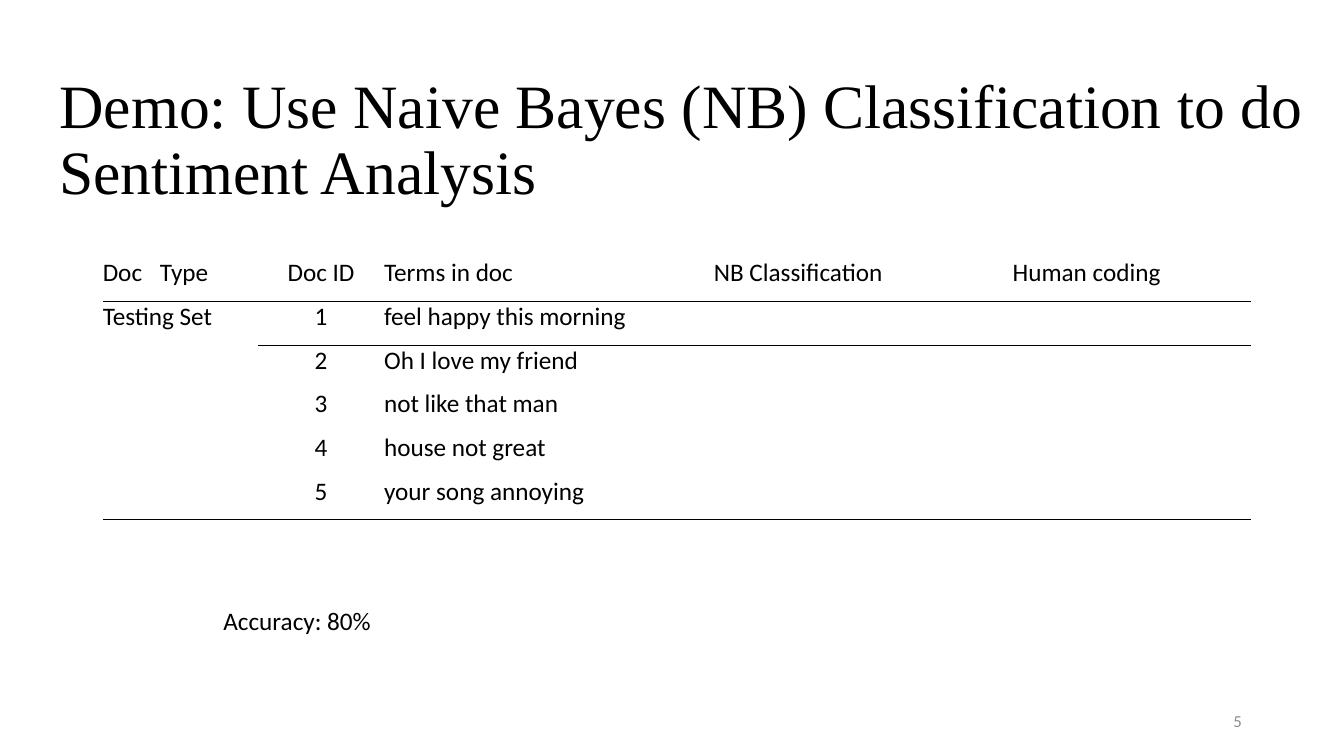
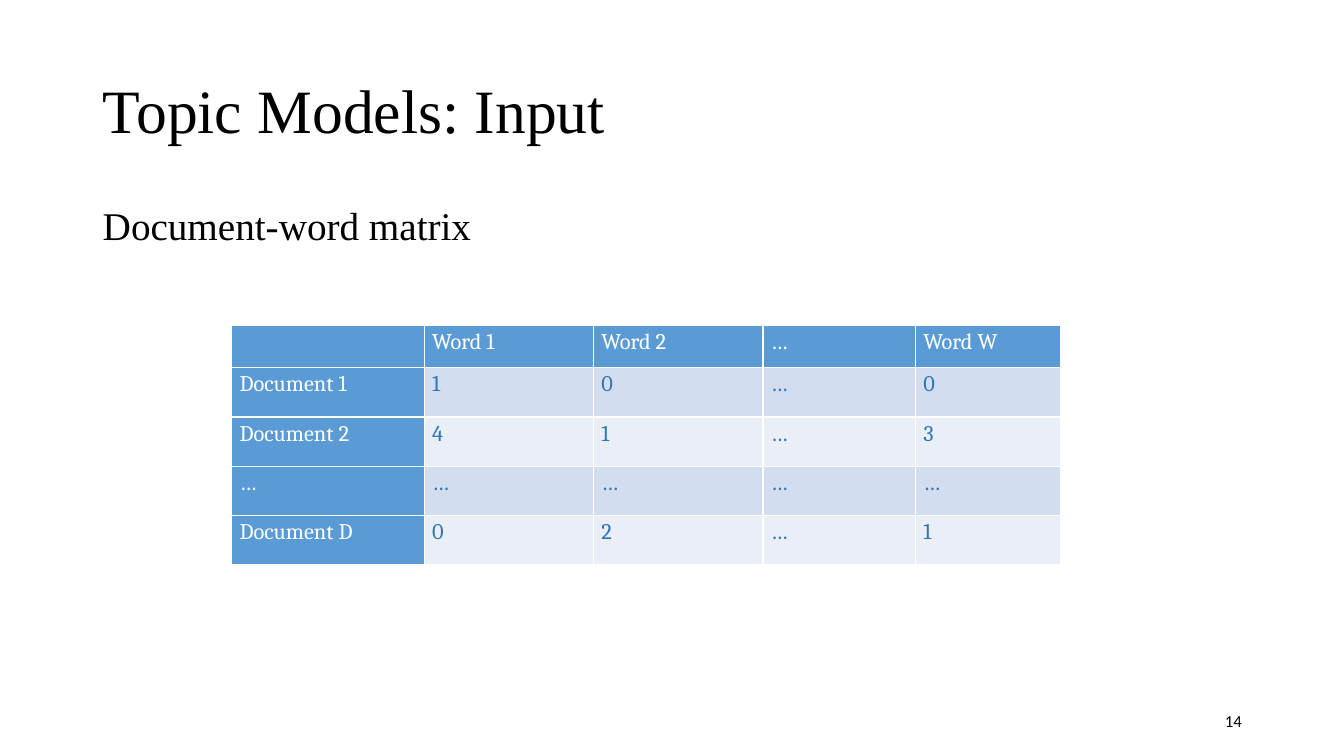
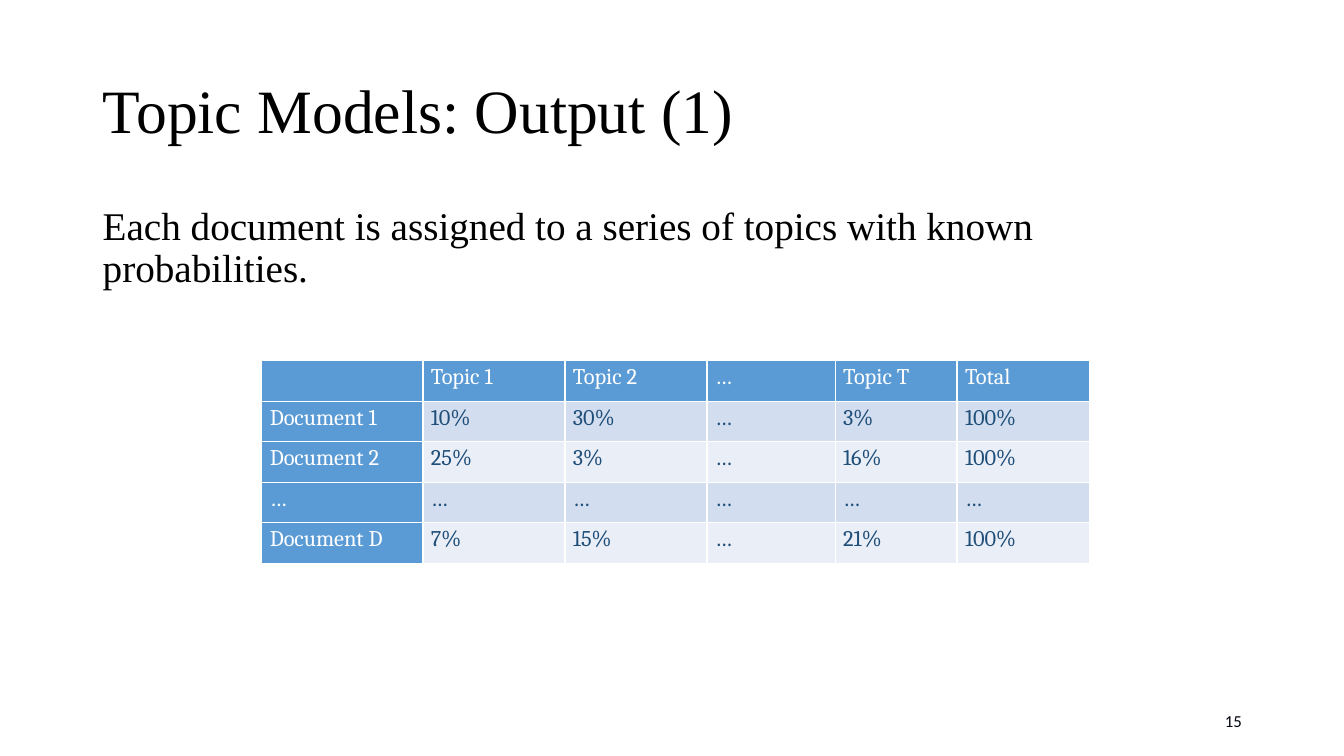
"""Build three slides on sentiment analysis and topic models."""
from dataclasses import dataclass

from lxml import etree
from pptx import Presentation
from pptx import util as u
from pptx.dml.color import RGBColor
from pptx.enum import text
from pptx.oxml.ns import qn


@dataclass(frozen=True)
class Theme:
    serif: str = "Times New Roman"
    sans: str = "Calibri"
    grid_font: str = "Cambria"
    ink: str = "000000"
    white: str = "FFFFFF"
    muted: str = "8C8C8C"
    number_ink: str = "000510"
    header: str = "5B9BD5"
    bands: tuple = ("D2DEEF", "EAEFF7")
    mid_blue: str = "2E75B6"
    dark_blue: str = "1F4E79"
    title_size: int = 44
    body_size: int = 28
    table_size: int = 18
    grid_size: int = 16
    number_size: int = 12
    tight: float = 0.9
    loose: float = 1.15
    plain_table: str = "{2D5ABB26-0587-4C30-8999-92F81FD0307C}"


class Slides:
    def __init__(self, theme):
        self.theme = theme
        self.deck = Presentation()
        self.deck.slide_width, self.deck.slide_height = u.Cm(33.87), u.Cm(19.05)
        self.page = None

    def fill_text(self, frame, words, font, size, color, align=text.PP_ALIGN.LEFT, spacing=1.0):
        frame.text = words
        para = frame.paragraphs[0]
        para.alignment, para.line_spacing = align, spacing
        for span in para.runs:
            span.font.name, span.font.size = font, u.Pt(size)
            span.font.color.rgb = RGBColor.from_string(color)

    def place(self, box, left, top, width, height):
        box.left, box.top, box.width, box.height = map(u.Cm, (left, top, width, height))

    def start(self, title, number, number_color, left=2.34, top=1.02, width=29.21):
        self.page = self.deck.slides.add_slide(self.deck.slide_layouts[5])
        box = self.page.shapes.title
        self.place(box, left, top, width, 3.68)
        frame = box.text_frame
        frame.auto_size = text.MSO_AUTO_SIZE.NONE
        frame.vertical_anchor = text.MSO_ANCHOR.MIDDLE
        theme = self.theme
        self.fill_text(frame, title, theme.serif, theme.title_size, theme.ink,
                       spacing=theme.tight)
        self.text(number, (23.93, 17.65, 7.62, 1.02), theme.sans, theme.number_size, number_color,
                  anchor=text.MSO_ANCHOR.MIDDLE, align=text.PP_ALIGN.RIGHT)

    def text(self, words, area, font, size, color, anchor=text.MSO_ANCHOR.TOP, **style):
        frame = self.page.shapes.add_textbox(*map(u.Cm, area)).text_frame
        frame.word_wrap = True
        frame.vertical_anchor = anchor
        self.fill_text(frame, words, font, size, color, **style)

    def body(self, words):
        theme = self.theme
        self.text(words, (2.34, 5.08, 29.21, 12.09), theme.serif, theme.body_size, theme.ink,
                  spacing=theme.tight)

    def table(self, left, top, widths, heights):
        frame = self.page.shapes.add_table(len(heights), len(widths), u.Cm(left), u.Cm(top),
                                           u.Cm(sum(widths)), u.Cm(sum(heights)))
        table = frame.table
        table.first_row = table.horz_banding = False
        frame._element.find(".//" + qn("a:tableStyleId")).text = self.theme.plain_table
        for column, width in zip(table.columns, widths):
            column.width = u.Cm(width)
        for row, height in zip(table.rows, heights):
            row.height = u.Cm(height)
        return table

    def borders(self, cell, sides, color):
        properties = cell._tc.get_or_add_tcPr()
        for side in sides:
            line = etree.SubElement(properties, qn("a:ln" + side), w=str(u.Pt(1)))
            fill = etree.SubElement(line, qn("a:solidFill"))
            etree.SubElement(fill, qn("a:srgbClr"), val=color)

    def cell(self, cell, words, margin, font, size, color, **style):
        cell.margin_left = cell.margin_right = u.Cm(margin)
        cell.margin_top = cell.margin_bottom = 0
        self.fill_text(cell.text_frame, words, font, size, color, **style)

    def ruled_table(self, left, top, widths, height, rows):
        theme = self.theme
        table = self.table(left, top, widths, [height] * len(rows))
        last = len(rows) - 1
        sides = {0: "B", 1: "T", last - 1: "B", last: "T"}
        for r, row in enumerate(rows):
            for c, words in enumerate(row):
                cell = table.cell(r, c)
                align = text.PP_ALIGN.CENTER if c == 1 else text.PP_ALIGN.LEFT
                self.cell(cell, words, 0, theme.sans, theme.table_size, theme.ink, align=align)
                self.borders(cell, sides.get(r, ""), theme.ink)
        table.cell(1, 0).merge(table.cell(last - 1, 0))
        table.cell(last, 0).merge(table.cell(last, 3))
        return table

    def tab_stop(self, cell, position):
        properties = cell.text_frame.paragraphs[0]._p.get_or_add_pPr()
        stops = etree.SubElement(properties, qn("a:tabLst"))
        etree.SubElement(stops, qn("a:tab"), pos=str(u.Cm(position)), algn="l")

    def matrix(self, left, top, widths, heights, rows, color):
        theme = self.theme
        table = self.table(left, top, widths, heights)
        for r, row in enumerate(rows):
            for c, words in enumerate(row):
                cell = table.cell(r, c)
                heading = r == 0 or c == 0
                self.cell(cell, words, 0.2, theme.grid_font, theme.grid_size,
                          theme.white if heading else color, spacing=theme.loose)
                self.borders(cell, "LRTB", theme.white)
                cell.fill.solid()
                shade = theme.header if heading else theme.bands[(r - 1) % 2]
                cell.fill.fore_color.rgb = RGBColor.from_string(shade)


def main():
    theme = Theme()
    slides = Slides(theme)

    slides.start("Demo: Use Naive Bayes (NB) Classification to do Sentiment Analysis",
                 "5", theme.muted, left=1.24, top=1.73, width=32.61)
    terms = ["feel happy this morning", "Oh I love my friend", "not like that man",
             "house not great", "your song annoying"]
    rows = [["Doc\tType", "Doc ID", "Terms in doc", "NB Classification", "Human coding"]]
    rows += [["Testing Set" if i == 1 else "", str(i), term, "", ""]
             for i, term in enumerate(terms, 1)]
    rows.append([""] * 5)
    table = slides.ruled_table(2.59, 6.5, [3.91, 3.18, 8.31, 7.39, 6.15], 1.1, rows)
    slides.tab_stop(table.cell(0, 0), 1.44)
    table.cell(0, 4).margin_left = u.Cm(0.14)
    slides.text("Accuracy: 80%", (5.38, 15.14, 13.13, 1.02),
                theme.sans, theme.table_size, theme.ink)

    slides.start("Topic Models: Input", "14", theme.number_ink)
    slides.body("Document-word matrix")
    slides.matrix(5.84, 8.2, [4.85, 4.27, 4.27, 3.84, 3.66], [1.07] + [1.24] * 4, [
        ["", "Word 1", "Word 2", "…", "Word W"],
        ["Document 1", "1", "0", "…", "0"],
        ["Document 2", "4", "1", "…", "3"],
        ["…"] * 5,
        ["Document D", "0", "2", "…", "1"],
    ], theme.mid_blue)

    slides.start("Topic Models: Output (1)", "15", theme.number_ink)
    slides.body("Each document is assigned to a series of topics with known probabilities.")
    slides.matrix(6.6, 9.09, [4.06, 3.58, 3.58, 3.23, 3.07, 3.35], [1.02] * 5, [
        ["", "Topic 1", "Topic 2", "…", "Topic T", "Total"],
        ["Document 1", "10%", "30%", "…", "3%", "100%"],
        ["Document 2", "25%", "3%", "…", "16%", "100%"],
        ["…"] * 6,
        ["Document D", "7%", "15%", "…", "21%", "100%"],
    ], theme.dark_blue)

    slides.deck.save("out.pptx")


if __name__ == "__main__":
    main()
